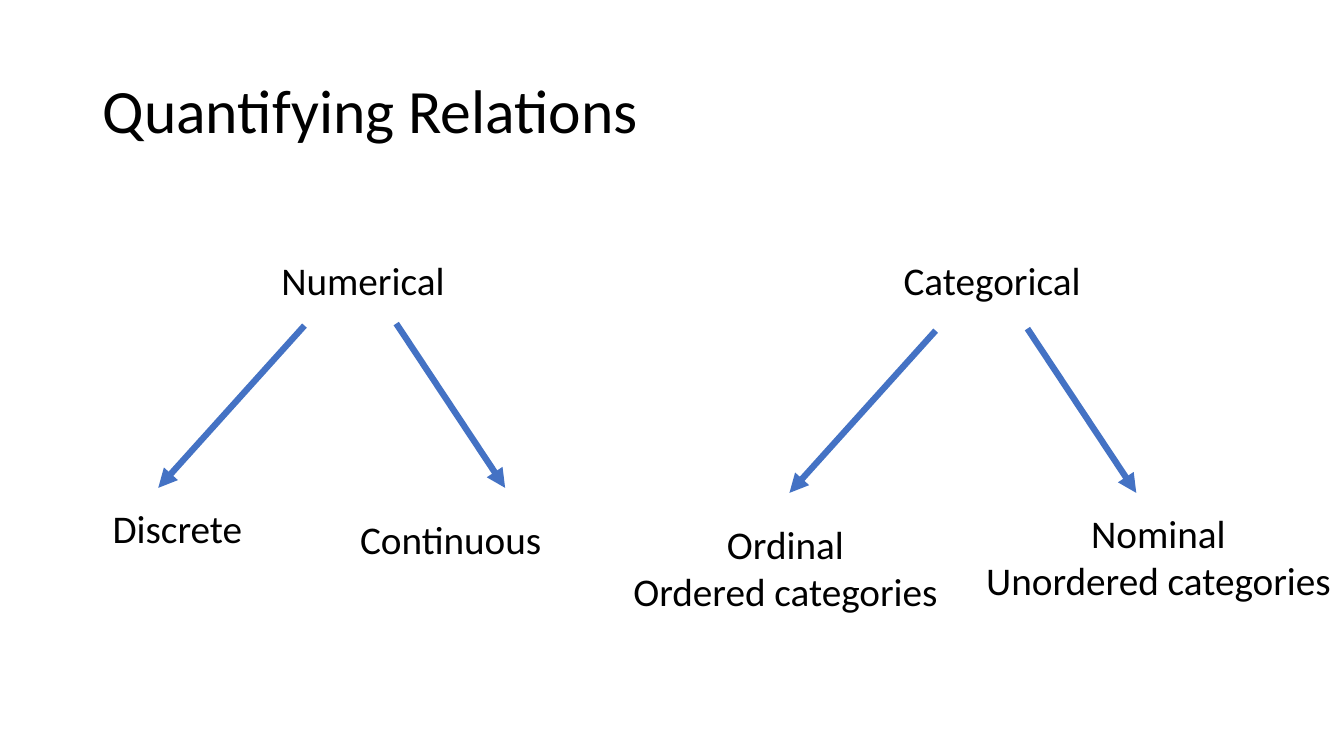
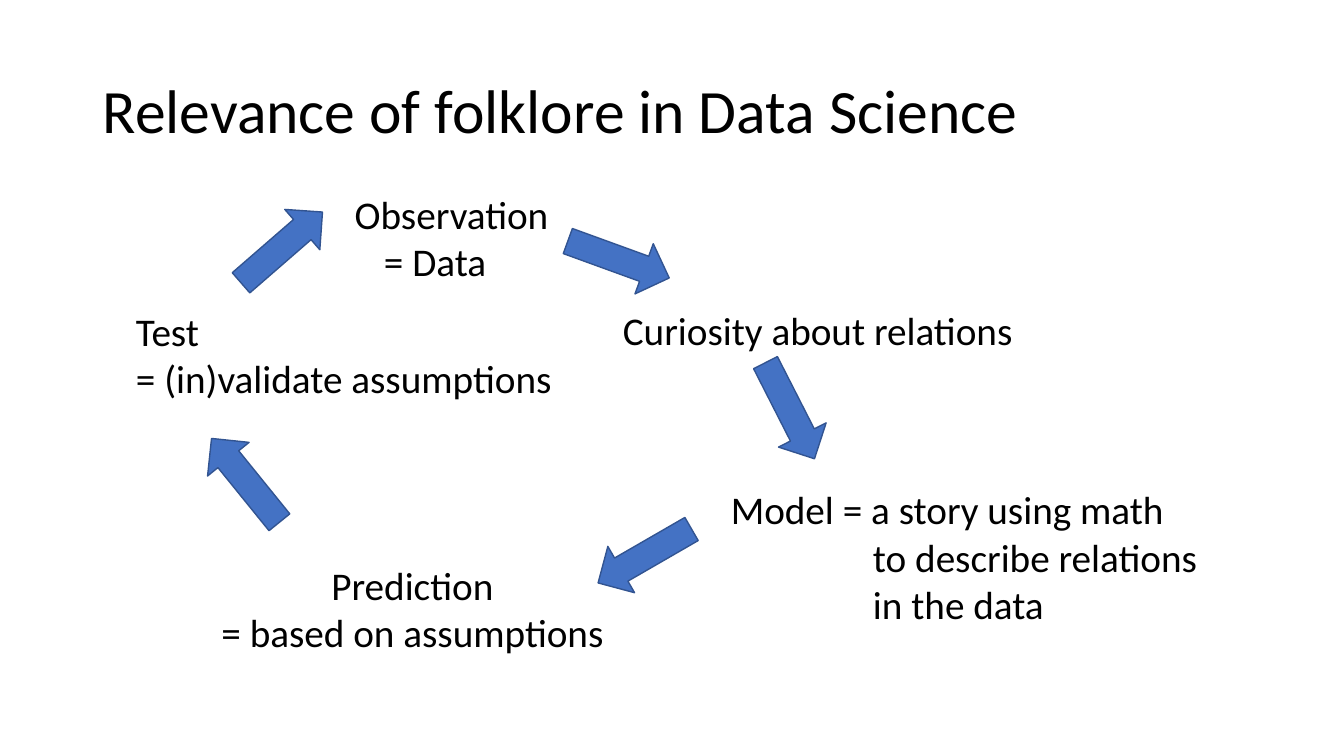
"""Build two slides: a tree of data types and the cycle of data science."""
from lxml import etree
from pptx import Presentation
from pptx import util as u
from pptx.dml.color import RGBColor
from pptx.enum import shapes, text
from pptx.oxml import ns

BLACK = RGBColor(0x00, 0x00, 0x00)
BLUE = RGBColor(0x44, 0x72, 0xC4)
NAVY = RGBColor(0x32, 0x54, 0x91)
LEFT, MID = text.PP_ALIGN.LEFT, text.PP_ALIGN.CENTER
GROW = text.MSO_AUTO_SIZE.SHAPE_TO_FIT_TEXT
FIXED = text.MSO_AUTO_SIZE.NONE
TOP, CENTRE = text.MSO_ANCHOR.TOP, text.MSO_ANCHOR.MIDDLE

TITLE = {
    "frame": {"word_wrap": True, "auto_size": FIXED, "vertical_anchor": CENTRE},
    "para": {"line_spacing": 0.9},
    "font": {"name": "Calibri", "size": u.Pt(44)},
}
LABEL = {
    "frame": {"word_wrap": True, "auto_size": GROW, "vertical_anchor": TOP},
    "para": {},
    "font": {"name": "Calibri", "size": u.Pt(28)},
}


def write(slide, box, lines, style, align=LEFT, dents=()):
    """Add a text box with one paragraph a line and optional left indents."""
    frame = slide.shapes.add_textbox(*map(u.Inches, box)).text_frame
    frame.text = "\n".join(lines)
    for key, val in style["frame"].items():
        setattr(frame, key, val)
    for para in frame.paragraphs:
        para.alignment = align
        para.font.color.rgb = BLACK
        for key, val in style["para"].items():
            setattr(para, key, val)
        for run in para.runs:
            run.font.color.rgb = BLACK
            for key, val in style["font"].items():
                setattr(run.font, key, val)
    for para, dent in zip(frame.paragraphs, dents):
        para._p.get_or_add_pPr().set("marL", str(u.Inches(dent)))


deck = Presentation()
deck.slide_width, deck.slide_height = u.Inches(13.33), u.Inches(7.5)

slides = []
for title in ("Quantifying Relations", "Relevance of folklore in Data Science"):
    slide = deck.slides.add_slide(deck.slide_layouts[6])
    write(slide, (0.92, 0.4, 11.5, 1.45), [title], TITLE)
    slides.append(slide)
tree, cycle = slides

for box, lines in (
    ((2.1, 2.49, 3, 0.57), ["Numerical"]),
    ((8.34, 2.49, 3, 0.57), ["Categorical"]),
    ((0.26, 4.95, 3, 0.57), ["Discrete"]),
    ((2.97, 5.06, 3, 0.57), ["Continuous"]),
    ((6.03, 5.11, 3.52, 1.04), ["Ordinal", "Ordered categories"]),
    ((9.54, 5, 3.9, 1.04), ["Nominal", "Unordered categories"]),
):
    write(tree, box, lines, LABEL, MID)

for dx, dy in ((0, 0), (6.26, 0.05)):
    for x1, y1, x2, y2 in ((3.02, 3.23, 1.57, 4.84), (3.93, 3.21, 5.01, 4.84)):
        ends = (x1 + dx, y1 + dy, x2 + dx, y2 + dy)
        branch = tree.shapes.add_connector(
            shapes.MSO_CONNECTOR.STRAIGHT, *map(u.Inches, ends))
        branch.line.color.rgb = BLUE
        branch.line.width = u.Pt(4.5)
        etree.SubElement(branch.line._get_or_add_ln(), ns.qn("a:tailEnd"),
                         type="triangle")
        etree.SubElement(branch._element.spPr, ns.qn("a:effectLst"))

for box, lines, align, dents in (
    ((2.98, 1.84, 3, 1.04), ["Observation", "= Data"], LEFT, (0.44, 0.73)),
    ((5.81, 2.99, 4.6, 0.57), ["Curiosity about relations"], MID, ()),
    ((7.15, 4.77, 5.61, 1.51),
     ["Model = a story using math", "to describe relations", "in the data"],
     LEFT, (0, 1.41, 1.41)),
    ((2.05, 5.52, 4.08, 1.04), ["Prediction", "= based on assumptions"], MID, ()),
    ((1.25, 3, 4.73, 1.04), ["Test", "= (in)validate assumptions"], LEFT, ()),
):
    write(cycle, box, lines, LABEL, align, dents)

for left, top, turn in (
    (5.6, 2.31, 20),
    (7.3, 3.81, 63),
    (5.86, 5.25, 150),
    (1.9, 4.5, 231),
    (2.26, 2.19, 319),
):
    arrow = cycle.shapes.add_shape(
        shapes.MSO_SHAPE.RIGHT_ARROW, *map(u.Inches, (left, top, 1.07, 0.53)))
    arrow.rotation = turn
    arrow.shadow.inherit = False
    arrow.fill.solid()
    arrow.fill.fore_color.rgb = BLUE
    arrow.line.color.rgb = NAVY
    arrow.line.width = u.Pt(1)

deck.save("out.pptx")
